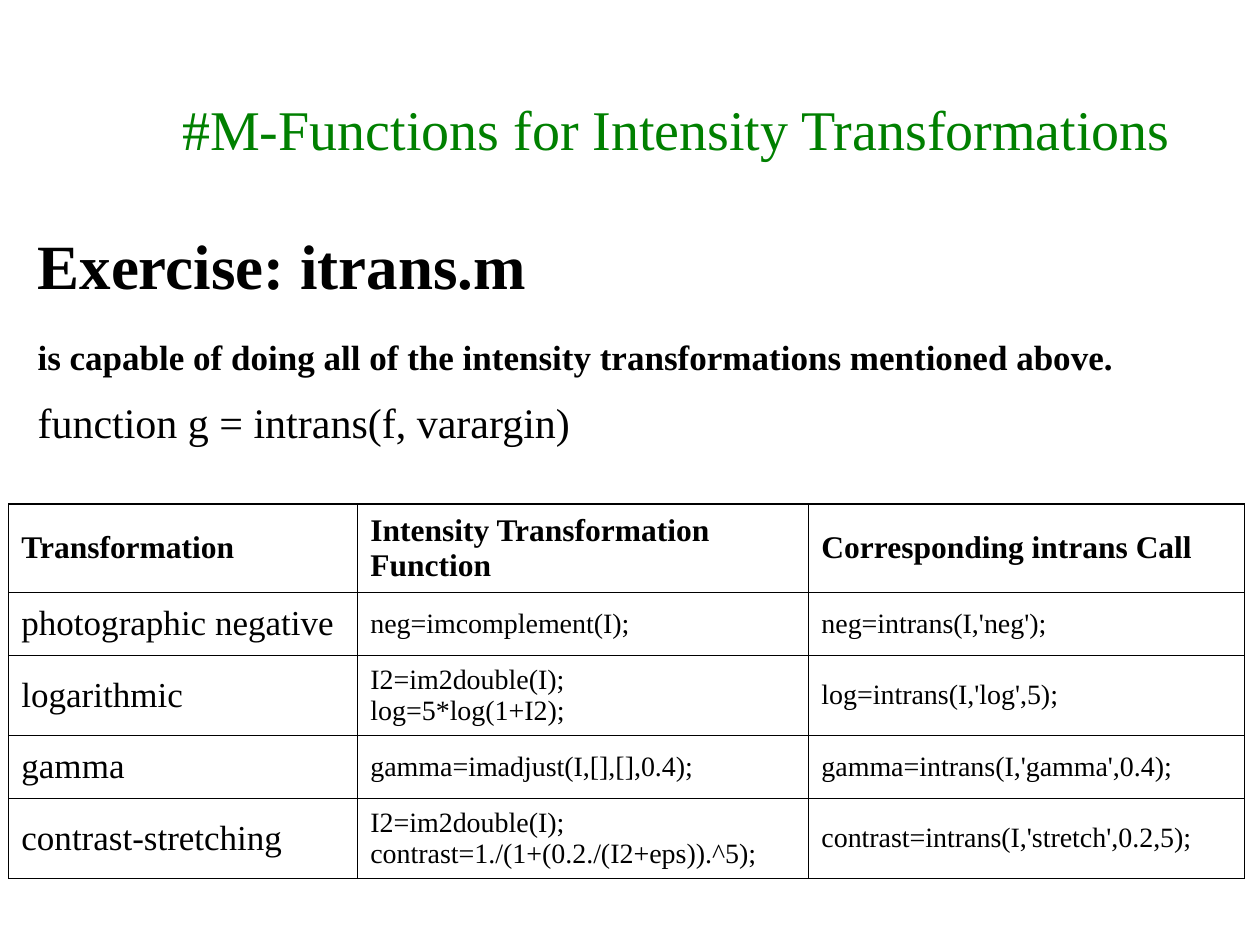
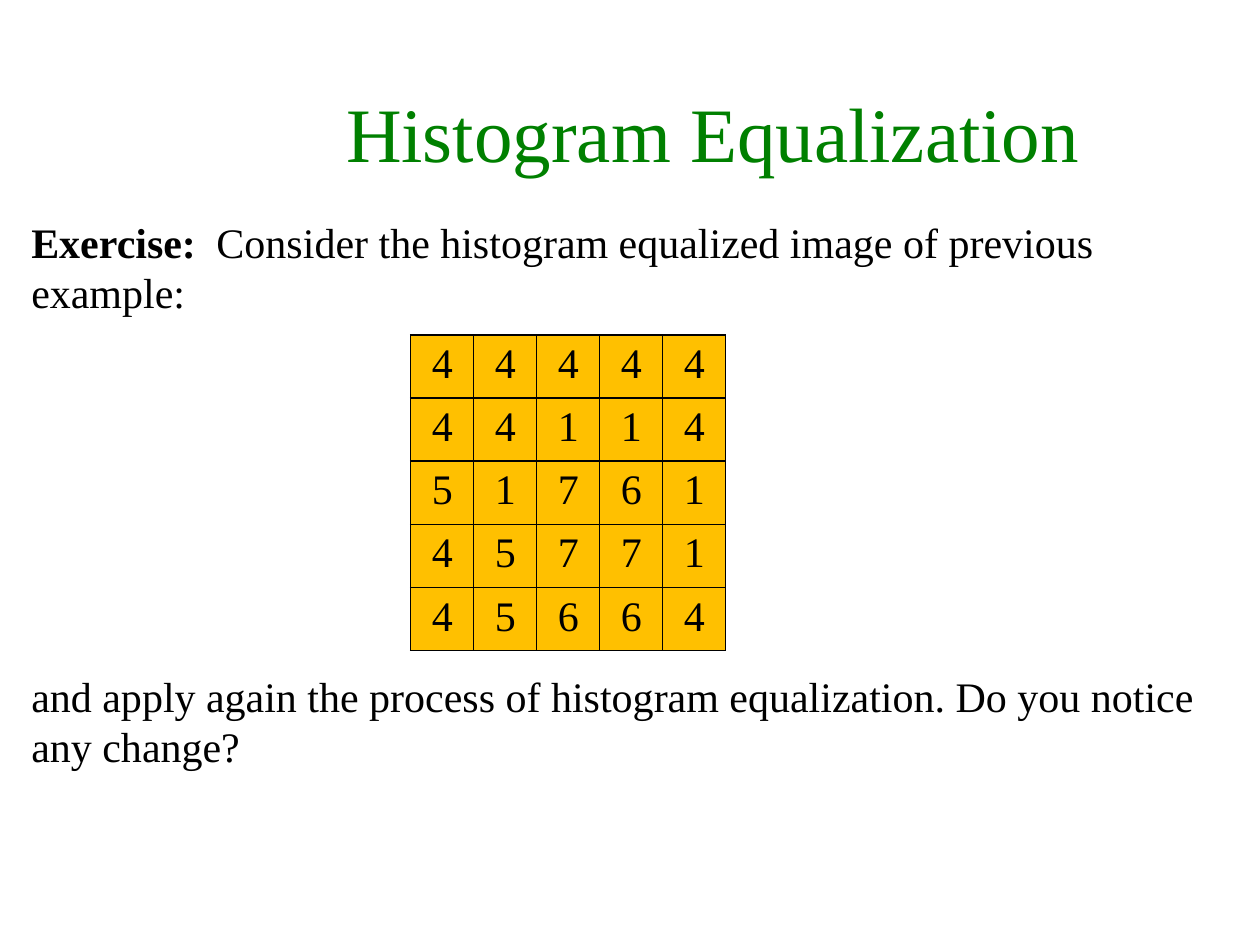
from lxml.etree import SubElement
from pptx import Presentation
from pptx.dml.color import RGBColor
from pptx.enum.text import MSO_ANCHOR, PP_ALIGN
from pptx.oxml.ns import qn
from pptx.util import Inches, Pt

BLACK, GREEN, GOLD = "000000", "008000", "FFC000"


def color(code):
    return RGBColor.from_string(code)


class Deck:
    """Holds the shared style and the slide being filled."""

    face = "Times New Roman"
    pitch = 1.2

    def __init__(self):
        self.show = Presentation()
        self.show.slide_width, self.show.slide_height = Inches(10), Inches(7.5)

    def page(self):
        self.slide = self.show.slides.add_slide(self.show.slide_layouts[6])

    def style(self, run, size, bold=False, ink=BLACK):
        looks = {"name": self.face, "size": Pt(size), "bold": bold}
        for key, value in looks.items():
            setattr(run.font, key, value)
        run.font.color.rgb = color(ink)

    def text(self, box, paras, align=PP_ALIGN.LEFT, ink=BLACK):
        """Each paragraph is (size, gap before in points, tab in inches, runs of (words, bold))."""
        frame = self.slide.shapes.add_textbox(*map(Inches, box)).text_frame
        frame.word_wrap = True
        for i, (size, gap, tab, runs) in enumerate(paras):
            para = frame.add_paragraph() if i else frame.paragraphs[0]
            looks = {"alignment": align, "space_before": Pt(gap),
                     "line_spacing": Pt(size * self.pitch)}
            for key, value in looks.items():
                setattr(para, key, value)
            if tab:
                stops = SubElement(para._p.get_or_add_pPr(), qn("a:tabLst"))
                SubElement(stops, qn("a:tab"), pos=str(Inches(tab)), algn="l")
            for words, bold in runs:
                run = para.add_run()
                run.text = words
                self.style(run, size, bold)
                run.font.color.rgb = color(ink)

    def title(self, words, size, box):
        self.text(box, [(size, 0, None, [(words, False)])], PP_ALIGN.CENTER, GREEN)

    def edge(self, cell, width):
        """Draw all four borders; call before setting the fill."""
        props = cell._tc.get_or_add_tcPr()
        for side in ("lnL", "lnR", "lnT", "lnB"):
            line = SubElement(props, qn(f"a:{side}"), w=str(Pt(width)))
            fill = SubElement(line, qn("a:solidFill"))
            SubElement(fill, qn("a:srgbClr"), val=BLACK)

    def table(self, spot, cols, rows, data, look, width, fill=None,
              align=PP_ALIGN.LEFT, anchor=MSO_ANCHOR.TOP):
        """look(row, col) gives the size and boldness of a cell."""
        area = map(Inches, (*spot, sum(cols), sum(rows)))
        grid = self.slide.shapes.add_table(len(rows), len(cols), *area).table
        grid.first_row = grid.horz_banding = False
        for col, wide in zip(grid.columns, cols):
            col.width = Inches(wide)
        for row, high in zip(grid.rows, rows):
            row.height = Inches(high)
        for r, line in enumerate(data):
            for c, words in enumerate(line):
                cell = grid.cell(r, c)
                cell.vertical_anchor = anchor
                self.edge(cell, width)
                if fill:
                    cell.fill.solid()
                    cell.fill.fore_color.rgb = color(fill)
                else:
                    cell.fill.background()
                para = cell.text_frame.paragraphs[0]
                para.text = words
                para.alignment = align
                for run in para.runs:
                    self.style(run, *look(r, c))


def call_look(row, col):
    if row == 0:
        return 18, True
    return (16 if col else 20), False


def intensity(deck):
    deck.page()
    deck.title("#M-Functions for Intensity Transformations", 32, (1.14, 0.7, 8.46, 0.63))
    deck.text((0.2, 1.75, 9.5, 1.85), [
        (36, 0, None, [("Exercise: itrans.m", True)]),
        (20, 19.2, None, [("is capable of doing all of the intensity "
                           "transformations mentioned above.", True)]),
        (24, 10.8, None, [("function g = intrans(f, varargin)", False)]),
    ])
    calls = [
        ("Transformation", "Intensity Transformation Function", "Corresponding intrans Call"),
        ("photographic negative", "neg=imcomplement(I);", "neg=intrans(I,'neg');"),
        ("logarithmic", "I2=im2double(I);\vlog=5*log(1+I2);", "log=intrans(I,'log',5);"),
        ("gamma", "gamma=imadjust(I,[],[],0.4);", "gamma=intrans(I,'gamma',0.4);"),
        ("contrast-stretching", "I2=im2double(I);\vcontrast=1./(1+(0.2./(I2+eps)).^5);",
         "contrast=intrans(I,'stretch',0.2,5);"),
    ]
    deck.table((0.07, 4), (2.77, 3.58, 3.46), (0.7, 0.5, 0.635, 0.5, 0.635),
               calls, call_look, 0.75, anchor=MSO_ANCHOR.MIDDLE)


def equalize(deck):
    deck.page()
    deck.text((0.15, 1.67, 9.46, 4.54), [
        (24, 0, 1.47, [("Exercise:\t", True),
                       ("Consider the histogram equalized image of previous example:", False)]),
        (24, 201.6, None, [("and apply again the process of histogram equalization. "
                            "Do you notice any change?", False)]),
    ])
    deck.title("Histogram Equalization", 44, (1.43, 0.63, 8.46, 0.83))
    pixels = ["44444", "44114", "51761", "45771", "45664"]
    deck.table((3.26, 2.66), [0.5] * 5, [0.5] * 5, pixels,
               lambda row, col: (24, False), 1, GOLD, PP_ALIGN.CENTER)


def main():
    deck = Deck()
    intensity(deck)
    equalize(deck)
    deck.show.save("out.pptx")


if __name__ == "__main__":
    main()
